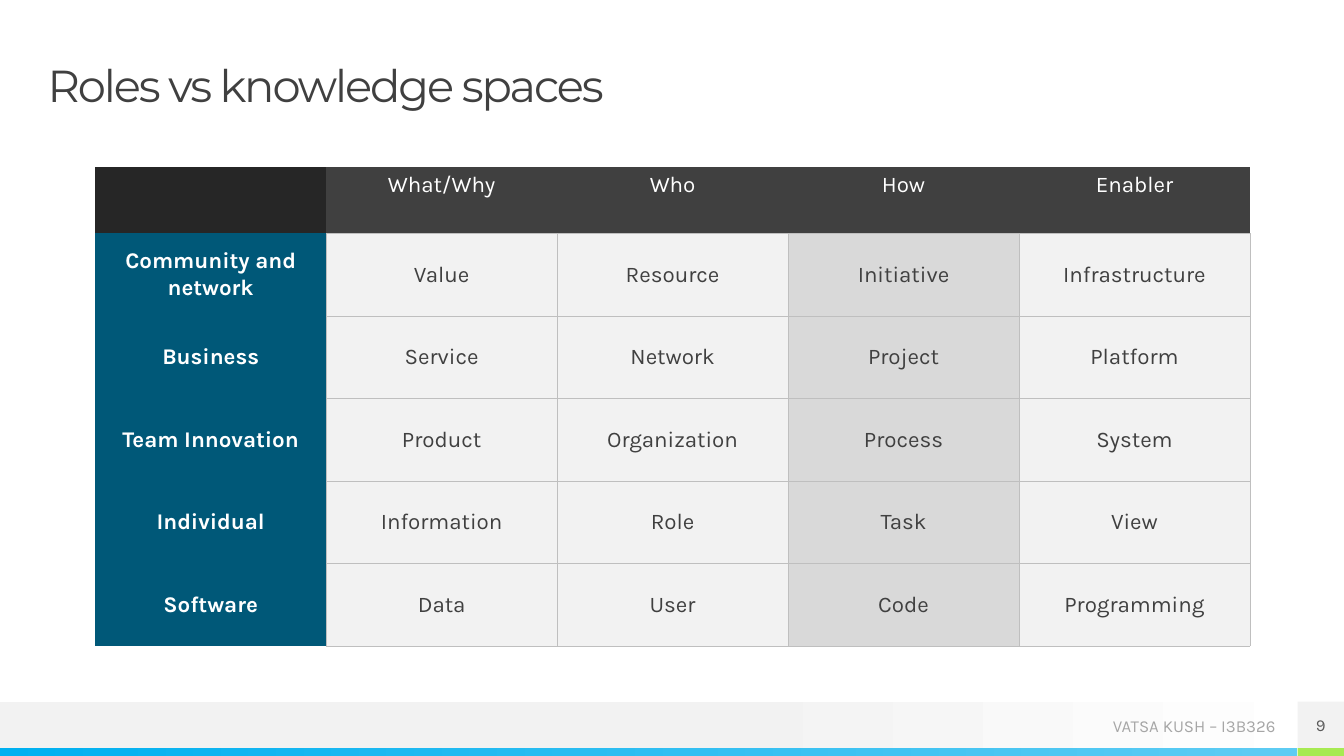
from lxml.etree import SubElement
from pptx import Presentation
from pptx.dml.color import RGBColor
from pptx.enum.shapes import MSO_SHAPE
from pptx.enum.text import MSO_ANCHOR, PP_ALIGN
from pptx.oxml.ns import qn
from pptx.util import Cm, Pt

TITLE = "Roles vs knowledge spaces"
FOOTER = "VATSA KUSH – I3B326"
PAGE = "9"
GRID = [
    ["", "What/Why", "Who", "How", "Enabler"],
    ["Community and network", "Value", "Resource", "Initiative", "Infrastructure"],
    ["Business", "Service", "Network", "Project", "Platform"],
    ["Team Innovation", "Product", "Organization", "Process", "System"],
    ["Individual", "Information", "Role", "Task", "View"],
    ["Software", "Data", "User", "Code", "Programming"],
]
SHADED = GRID[0].index("How")

WHITE = RGBColor(0xFF, 0xFF, 0xFF)
PALE = RGBColor(0xF2, 0xF2, 0xF2)
SILVER = RGBColor(0xD9, 0xD9, 0xD9)
RULE = RGBColor(0xBF, 0xBF, 0xBF)
MUTED = RGBColor(0xA6, 0xA6, 0xA6)
GREY = RGBColor(0x59, 0x59, 0x59)
DARK = RGBColor(0x40, 0x40, 0x40)
BLACK = RGBColor(0x26, 0x26, 0x26)
TEAL = RGBColor(0x00, 0x58, 0x78)
BLUE = RGBColor(0x00, 0xB0, 0xF0)
SKY = RGBColor(0x5E, 0xCC, 0xF3)
LIME = RGBColor(0xA7, 0xEA, 0x52)

WIDE, HIGH = 33.87, 19.05
STRIPE = 0.2
BAND = 1.17
BAND_TOP = HIGH - STRIPE - BAND
PAGE_LEFT = WIDE - BAND
COL_WIDE, HEAD_HIGH, ROW_HIGH = 5.82, 1.67, 2.08


def add_rect(slide, box, *colors, start=0):
    """Add a plain box; two colours make a gradient from left to right."""
    rect = slide.shapes.add_shape(MSO_SHAPE.RECTANGLE, *map(Cm, box))
    rect.shadow.inherit = False
    rect.line.fill.background()
    if len(colors) == 1:
        rect.fill.solid()
        rect.fill.fore_color.rgb = colors[0]
    else:
        rect.fill.gradient()
        rect.fill.gradient_angle = 0
        for stop, place, color in zip(rect.fill.gradient_stops, (start, 1), colors):
            stop.position = place
            stop.color.rgb = color
    return rect


def style(par, size, color, face="Karla", align=PP_ALIGN.CENTER, bold=False):
    par.alignment = align
    font = par.font
    font.name, font.size, font.bold = face, Pt(size), bold
    font.color.rgb = color


def put_text(shape, text, anchor, *args, **kwargs):
    frame = shape.text_frame
    frame.word_wrap = True
    frame.margin_left = frame.margin_right = 0
    frame.margin_top = frame.margin_bottom = 0
    frame.vertical_anchor = anchor
    par = frame.paragraphs[0]
    par.text = text
    style(par, *args, **kwargs)
    return par


def set_edges(cell, shown):
    """Rule the sides named in shown and clear the others."""
    props = cell._tc.get_or_add_tcPr()
    for side in "LRTB":
        line = SubElement(props, qn(f"a:ln{side}"), w=str(Pt(0.25)))
        if side in shown:
            fill = SubElement(line, qn("a:solidFill"))
            SubElement(fill, qn("a:srgbClr"), val=str(RULE))
        else:
            SubElement(line, qn("a:noFill"))


def cell_look(row, col):
    """Return fill, text colour and ruled sides of a cell."""
    if row == 0:
        return (DARK, WHITE, "B") if col else (BLACK, WHITE, "")
    if col == 0:
        return TEAL, WHITE, "R"
    return (SILVER if col == SHADED else PALE), DARK, "LRTB"


def add_grid(slide):
    rows, cols = len(GRID), len(GRID[0])
    high = HEAD_HIGH + ROW_HIGH * (rows - 1)
    table = slide.shapes.add_table(
        rows, cols, Cm(2.4), Cm(4.21), Cm(COL_WIDE * cols), Cm(high)).table
    table.first_row = table.horz_banding = False
    for col in table.columns:
        col.width = Cm(COL_WIDE)
    for r, words in enumerate(GRID):
        table.rows[r].height = Cm(ROW_HIGH if r else HEAD_HIGH)
        for c, word in enumerate(words):
            cell = table.cell(r, c)
            fill, ink, edges = cell_look(r, c)
            set_edges(cell, edges)
            cell.fill.solid()
            cell.fill.fore_color.rgb = fill
            cell.vertical_anchor = MSO_ANCHOR.MIDDLE if r else MSO_ANCHOR.TOP
            cell.text = word
            style(cell.text_frame.paragraphs[0], 16, ink, bold=r > 0 and c == 0)


def main():
    deck = Presentation()
    deck.slide_width, deck.slide_height = Cm(WIDE), Cm(HIGH)
    slide = deck.slides.add_slide(deck.slide_layouts[6])

    add_rect(slide, (0, BAND_TOP, WIDE, BAND), PALE, WHITE, start=0.53)
    add_rect(slide, (0, HIGH - STRIPE, PAGE_LEFT, STRIPE), BLUE, SKY)
    add_rect(slide, (PAGE_LEFT, HIGH - STRIPE, BAND, STRIPE), LIME)

    foot = slide.shapes.add_textbox(Cm(25.32), Cm(BAND_TOP), Cm(6.83), Cm(1.2))
    put_text(foot, FOOTER, MSO_ANCHOR.MIDDLE, 12, MUTED, align=PP_ALIGN.RIGHT)

    head = slide.shapes.add_textbox(Cm(1.2), Cm(1.6), Cm(31.5), Cm(1.2))
    par = put_text(head, TITLE, MSO_ANCHOR.TOP, 32, DARK, "Montserrat", PP_ALIGN.LEFT)
    par.line_spacing = 0.9
    par.runs[0]._r.get_or_add_rPr().set("spc", "-150")

    add_grid(slide)

    page = add_rect(slide, (PAGE_LEFT, BAND_TOP, BAND, BAND), PALE)
    put_text(page, PAGE, MSO_ANCHOR.MIDDLE, 12, GREY)

    deck.save("out.pptx")


if __name__ == "__main__":
    main()
